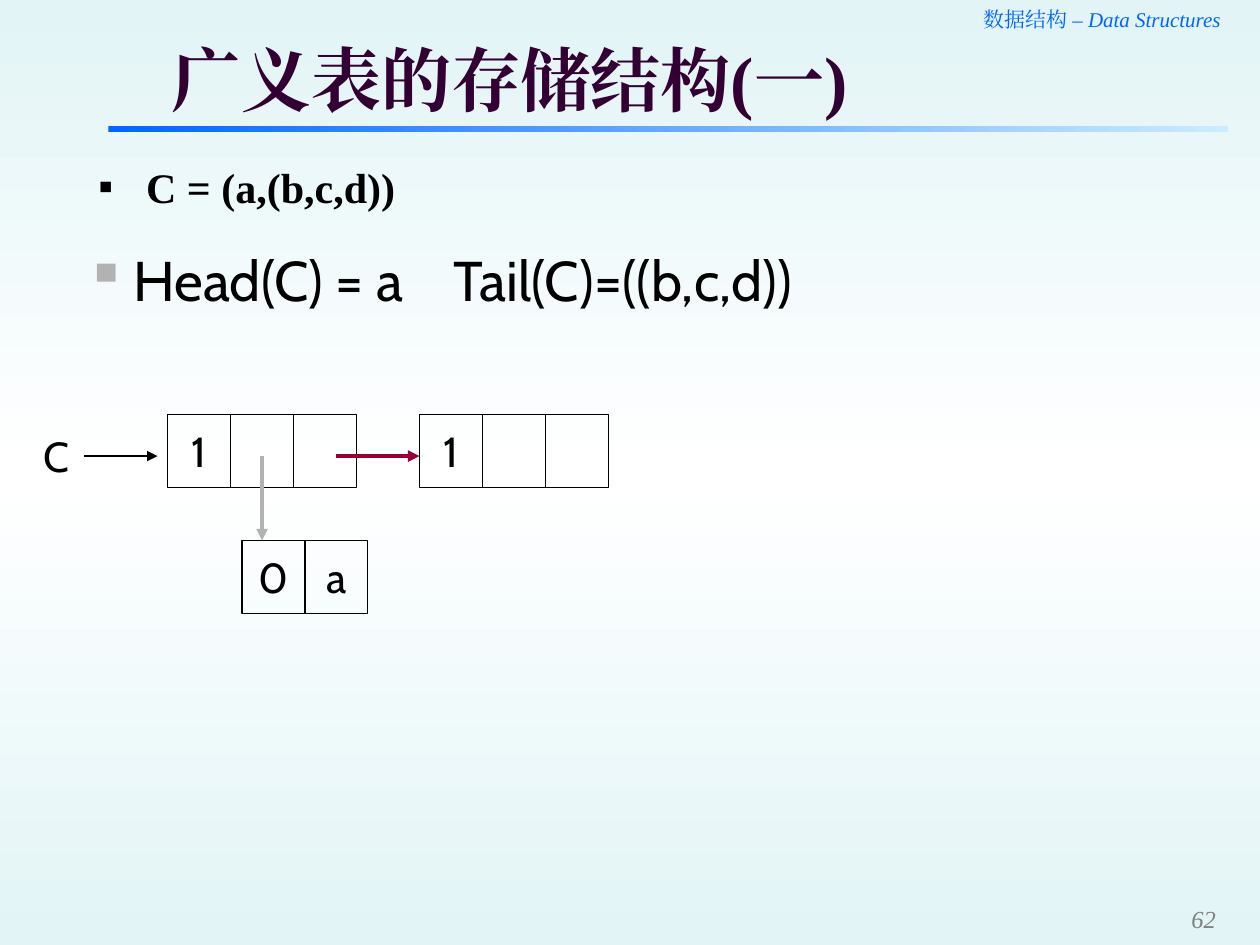
from copy import deepcopy

from lxml import etree
from pptx import Presentation
from pptx.dml.color import RGBColor
from pptx.enum.shapes import MSO_CONNECTOR, MSO_SHAPE
from pptx.enum.text import MSO_ANCHOR, MSO_AUTO_SIZE, PP_ALIGN
from pptx.oxml.ns import qn
from pptx.util import Inches, Pt

LEFT, CENTER, RIGHT = PP_ALIGN.LEFT, PP_ALIGN.CENTER, PP_ALIGN.RIGHT
TOP, MIDDLE, BOTTOM = MSO_ANCHOR.TOP, MSO_ANCHOR.MIDDLE, MSO_ANCHOR.BOTTOM
RECTANGLE, STRAIGHT = MSO_SHAPE.RECTANGLE, MSO_CONNECTOR.STRAIGHT
NO_AUTOFIT = MSO_AUTO_SIZE.NONE

COLORS = {
    "edge": "E2F4F6", "middle": "FFFFFF", "blue": "0066FF", "pale": "CCECFF",
    "title": "330033", "ink": "000000", "gray": "B2B2B2", "red": "990033",
    "number": "808080",
}
SERIF, SANS = "Times New Roman", "Cabin"
CELL_W, CELL_H = 0.5, 0.58
NODE_TOP, ATOM_TOP, LINK_Y = 3.29, 4.29, 3.62
FIRST_X, SECOND_X, ATOM_X = 1.33, 3.33, 1.92


def rgb(name):
    """Return the named colour."""
    return RGBColor.from_string(COLORS[name])


def place(shape, left, top, width, height):
    """Move and size a shape in inches."""
    shape.left, shape.top = Inches(left), Inches(top)
    shape.width, shape.height = Inches(width), Inches(height)


def write(shape, text, size=24, font=SANS, color="ink", bold=False, italic=False,
          align=LEFT, anchor=TOP, inset=0.1, margin=0.05, wrap=True):
    """Add a formatted run to the shape's first paragraph, which is returned."""
    frame = shape.text_frame
    frame.auto_size, frame.word_wrap = NO_AUTOFIT, wrap
    frame.vertical_anchor = anchor
    frame.margin_left, frame.margin_right = Inches(inset), Inches(0.1)
    frame.margin_top = frame.margin_bottom = Inches(margin)
    paragraph = frame.paragraphs[0]
    paragraph.alignment = align
    paragraph.space_before = Pt(0)
    run = paragraph.add_run()
    run.text = text
    run.font.size, run.font.name = Pt(size), font
    run.font.bold, run.font.italic = bold, italic
    run.font.color.rgb = rgb(color)
    properties = run._r.get_or_add_rPr()
    etree.SubElement(properties, qn("a:ea")).set("typeface", font)
    return paragraph


def add_text(slide, box, text, **style):
    """Add a text box with one formatted run."""
    label = slide.shapes.add_textbox(0, 0, 0, 0)
    place(label, *box)
    write(label, text, **style)
    return label


def add_bullet(paragraph, color, tab=None):
    """Give a paragraph a square bullet, a hanging indent and a tab stop."""
    properties = paragraph._p.get_or_add_pPr()
    properties.set("marL", str(Inches(0.38)))
    properties.set("indent", str(-Inches(0.38)))
    bullet_color = etree.SubElement(properties, qn("a:buClr"))
    etree.SubElement(bullet_color, qn("a:srgbClr")).set("val", COLORS[color])
    etree.SubElement(properties, qn("a:buChar")).set("char", "▪")
    if tab:
        stops = etree.SubElement(properties, qn("a:tabLst"))
        stop = etree.SubElement(stops, qn("a:tab"))
        stop.set("pos", str(Inches(tab)))
        stop.set("algn", "l")


def fill_gradient(fill, owner, angle, names):
    """Fill with evenly spaced gradient stops."""
    fill.gradient()
    fill.gradient_angle = angle
    stop_list = owner.find(".//" + qn("a:gsLst"))
    for _ in names[2:]:
        stop_list.append(deepcopy(stop_list[0]))
    for index, (stop, name) in enumerate(zip(fill.gradient_stops, names)):
        stop.color.rgb = rgb(name)
        stop.position = index / (len(names) - 1)


def add_node(slide, left, top, labels):
    """Draw a list node as a row of cells."""
    for column, label in enumerate(labels):
        cell = slide.shapes.add_shape(RECTANGLE, 0, 0, 0, 0)
        place(cell, left + column * CELL_W, top, CELL_W, CELL_H)
        cell.shadow.inherit = False
        cell.fill.background()
        cell.line.color.rgb, cell.line.width = rgb("ink"), Pt(0.75)
        if label:
            write(cell, label, align=CENTER, anchor=MIDDLE, wrap=False)


def add_arrow(slide, start, end, color="ink", width=2.25):
    """Draw a pointer with a triangular head."""
    pointer = slide.shapes.add_connector(
        STRAIGHT, *(Inches(value) for value in (*start, *end)))
    pointer.line.color.rgb, pointer.line.width = rgb(color), Pt(width)
    etree.SubElement(pointer.line._get_or_add_ln(), qn("a:tailEnd")).set("type", "triangle")
    etree.SubElement(pointer._element.spPr, qn("a:effectLst"))


def add_header(slide):
    """Add the course name and the gradient rule."""
    course = add_text(slide, (6, 0, 3.83, 0.3), "数据结构", size=12, font=SERIF,
                      color="blue", align=RIGHT)
    write(course, " – Data Structures ", size=12, font=SERIF, color="blue",
          italic=True, align=RIGHT)
    rule = slide.shapes.add_shape(RECTANGLE, 0, 0, 0, 0)
    place(rule, 0.86, 1, 8.89, 0.05)
    rule.shadow.inherit = False
    rule.line.fill.background()
    fill_gradient(rule.fill, rule._element, 0, ("blue", "pale"))


def main():
    """Build and save the slide."""
    deck = Presentation()
    deck.slide_width, deck.slide_height = Inches(10), Inches(7.5)
    slide = deck.slides.add_slide(deck.slide_layouts[1])
    fill_gradient(slide.background.fill, slide._element, 270, ("edge", "middle", "edge"))
    add_header(slide)

    title, body = slide.placeholders
    place(title, 1.26, 0.29, 8.24, 0.67)
    write(title, "广义表的存储结构(一)", size=40, font=SERIF, color="title",
          bold=True, anchor=MIDDLE, margin=0.04)
    place(body, 0.58, 1.23, 9.21, 0.75)
    add_bullet(write(body, "C = (a,(b,c,d))", font=SERIF, bold=True, inset=0.2), "ink")
    parts = add_text(slide, (0.58, 1.9, 8.92, 0.67), "Head(C) = a\tTail(C)=((b,c,d))", size=32)
    add_bullet(parts.text_frame.paragraphs[0], "gray", tab=2.92)

    add_text(slide, (0.25, 3.37, 0.42, 0.5), "C")
    add_arrow(slide, (0.67, LINK_Y), (1.25, LINK_Y), width=0.75)
    add_node(slide, FIRST_X, NODE_TOP, ("1", "", ""))
    add_node(slide, SECOND_X, NODE_TOP, ("1", "", ""))
    add_node(slide, ATOM_X, ATOM_TOP, ("0", "a"))
    atom_link = FIRST_X + 1.5 * CELL_W
    add_arrow(slide, (atom_link, LINK_Y), (atom_link, ATOM_TOP), "gray")
    add_arrow(slide, (2.67, LINK_Y), (SECOND_X, LINK_Y), "red")
    add_text(slide, (9.08, 7.08, 0.67, 0.33), "62", size=14, font=SERIF, color="number",
             italic=True, align=RIGHT, anchor=BOTTOM, margin=0)
    deck.save("out.pptx")


if __name__ == "__main__":
    main()
